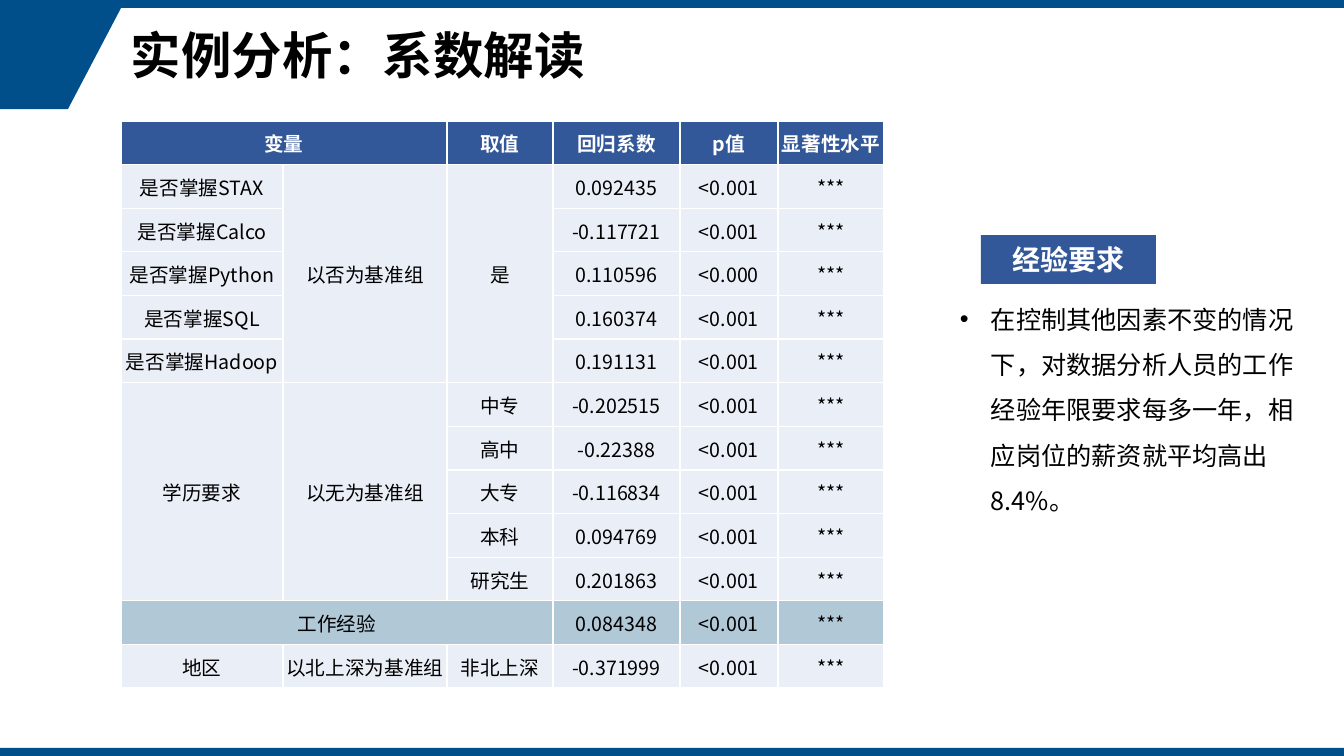
import dataclasses

import lxml.etree
import pptx
import pptx.dml.color
import pptx.enum.shapes
import pptx.enum.text
import pptx.oxml.ns
import pptx.util

ALIGN = pptx.enum.text.PP_ALIGN
MIDDLE = pptx.enum.text.MSO_ANCHOR.MIDDLE


@dataclasses.dataclass(frozen=True)
class Theme:
    """Colours, font and type sizes of the slide."""
    font: str = "Noto Sans CJK SC"
    band: str = "004F8A"
    accent: str = "335899"
    cell: str = "EAEFF7"
    highlight: str = "B1C8D7"
    ink: str = "000000"
    paper: str = "FFFFFF"
    title_size: int = 36
    label_size: int = 20
    body_size: int = 18
    table_size: int = 14


THEME = Theme()
SLIDE_WIDTH, SLIDE_HEIGHT, BAND_HEIGHT = 1344, 756, 8
COLUMN_WIDTHS = [162, 164, 106, 127, 98, 106]
HIGHLIGHT_ROW = 11
ROWS = [
    ["变量", "", "取值", "回归系数", "p值", "显著性水平"],
    ["是否掌握STAX", "以否为基准组", "是", "0.092435", "<0.001", "***"],
    ["是否掌握Calco", "", "", "-0.117721", "<0.001", "***"],
    ["是否掌握Python", "", "", "0.110596", "<0.000", "***"],
    ["是否掌握SQL", "", "", "0.160374", "<0.001", "***"],
    ["是否掌握Hadoop", "", "", "0.191131", "<0.001", "***"],
    ["学历要求", "以无为基准组", "中专", "-0.202515", "<0.001", "***"],
    ["", "", "高中", "-0.22388", "<0.001", "***"],
    ["", "", "大专", "-0.116834", "<0.001", "***"],
    ["", "", "本科", "0.094769", "<0.001", "***"],
    ["", "", "研究生", "0.201863", "<0.001", "***"],
    ["工作经验", "", "", "0.084348", "<0.001", "***"],
    ["地区", "以北上深为基准组", "非北上深", "-0.371999", "<0.001", "***"],
]
MERGES = [
    ((0, 0), (0, 1)),
    ((1, 1), (5, 1)),
    ((1, 2), (5, 2)),
    ((6, 0), (10, 0)),
    ((6, 1), (10, 1)),
    ((11, 0), (11, 2)),
]


def px(length):
    """Turn pixels into EMU."""
    return pptx.util.Emu(round(length * 914400 / 100.8))


def rgb(colour):
    """Turn a hex string into a colour."""
    return pptx.dml.color.RGBColor.from_string(colour)


def add_element(parent, tag, **attributes):
    """Append a drawing element to an XML parent."""
    return lxml.etree.SubElement(parent, pptx.oxml.ns.qn(tag), attributes)


def paint(shape, colour):
    """Give a shape a flat fill without line or shadow."""
    shape.fill.solid()
    shape.fill.fore_color.rgb = rgb(colour)
    shape.line.fill.background()
    shape.shadow.inherit = False


def write(para, text, size, colour, bold=False, align=ALIGN.LEFT):
    """Fill a paragraph and set its font for Latin and Chinese text."""
    para.text = text
    para.alignment = align
    font = para.font
    font.size = pptx.util.Pt(size)
    font.bold = bold
    font.color.rgb = rgb(colour)
    font.name = THEME.font
    properties = para._p.pPr.find(pptx.oxml.ns.qn("a:defRPr"))
    add_element(properties, "a:ea", typeface=THEME.font)


def add_rectangle(page, left, top, width, height, colour):
    """Add a flat rectangle."""
    box = page.shapes.add_shape(pptx.enum.shapes.MSO_SHAPE.RECTANGLE,
                                px(left), px(top), px(width), px(height))
    paint(box, colour)
    return box


def add_corner(page):
    """Add the slanted corner under the top band."""
    builder = page.shapes.build_freeform(0, px(BAND_HEIGHT))
    builder.add_line_segments([(px(121), px(BAND_HEIGHT)), (px(68), px(109)), (0, px(109))])
    paint(builder.convert_to_shape(), THEME.band)


def add_text_box(page, left, top, width, height):
    """Add a wrapping text box and return its frame."""
    box = page.shapes.add_textbox(px(left), px(top), px(width), px(height))
    box.text_frame.word_wrap = True
    return box.text_frame


def add_title(page, text):
    """Add the slide title."""
    frame = add_text_box(page, 121, 8, 1131, 101)
    frame.vertical_anchor = MIDDLE
    para = frame.paragraphs[0]
    para.line_spacing = 0.9
    write(para, text, THEME.title_size, THEME.ink, bold=True)


def add_label(page, text):
    """Add the filled heading above the finding."""
    box = add_rectangle(page, 981, 235, 175, 49, THEME.accent)
    box.text_frame.word_wrap = False
    box.text_frame.vertical_anchor = MIDDLE
    write(box.text_frame.paragraphs[0], text, THEME.label_size, THEME.paper, True, ALIGN.CENTER)


def add_finding(page, text):
    """Add the bulleted finding."""
    para = add_text_box(page, 950, 284, 358, 234).paragraphs[0]
    para.line_spacing = 1.5
    properties = para._p.get_or_add_pPr()
    properties.set("marL", str(px(31)))
    properties.set("indent", str(px(-31)))
    add_element(properties, "a:buFont", typeface="Arial")
    add_element(properties, "a:buChar", char="•")
    write(para, text, THEME.body_size, THEME.ink)


def style_cell(cell, colour):
    """Set margins, white borders and fill of a cell."""
    cell.margin_left = cell.margin_right = cell.margin_top = px(1)
    cell.margin_bottom = 0
    cell.vertical_anchor = MIDDLE
    properties = cell._tc.get_or_add_tcPr()
    for side in ("a:lnL", "a:lnR", "a:lnT", "a:lnB"):
        line = add_element(properties, side, w=str(pptx.util.Pt(1)))
        add_element(add_element(line, "a:solidFill"), "a:srgbClr", val=THEME.paper)
    cell.fill.solid()
    cell.fill.fore_color.rgb = rgb(colour)


def add_coefficient_table(page):
    """Add the table of regression coefficients."""
    height = px(567)
    table = page.shapes.add_table(len(ROWS), len(COLUMN_WIDTHS), px(121), px(121),
                                  px(sum(COLUMN_WIDTHS)), height).table
    table.first_row = table.horz_banding = False
    for column, width in zip(table.columns, COLUMN_WIDTHS):
        column.width = px(width)
    fills = {0: THEME.accent, HIGHLIGHT_ROW: THEME.highlight}
    for row_index, values in enumerate(ROWS):
        table.rows[row_index].height = height // len(ROWS)
        header = row_index == 0
        for column_index, text in enumerate(values):
            cell = table.cell(row_index, column_index)
            style_cell(cell, fills.get(row_index, THEME.cell))
            write(cell.text_frame.paragraphs[0], text, THEME.table_size,
                  THEME.paper if header else THEME.ink, header, ALIGN.CENTER)
    for first, last in MERGES:
        table.cell(*first).merge(table.cell(*last))


def main():
    """Build the slide and save it."""
    deck = pptx.Presentation()
    deck.slide_width, deck.slide_height = px(SLIDE_WIDTH), px(SLIDE_HEIGHT)
    page = deck.slides.add_slide(deck.slide_layouts[6])
    add_corner(page)
    for top in (0, SLIDE_HEIGHT - BAND_HEIGHT):
        add_rectangle(page, 0, top, SLIDE_WIDTH, BAND_HEIGHT, THEME.band)
    add_title(page, "实例分析：系数解读")
    add_finding(page, "在控制其他因素不变的情况下，对数据分析人员的工作经验年限要求每多一年，"
                      "相应岗位的薪资就平均高出8.4%。")
    add_coefficient_table(page)
    add_label(page, "经验要求")
    deck.save("out.pptx")


if __name__ == "__main__":
    main()
